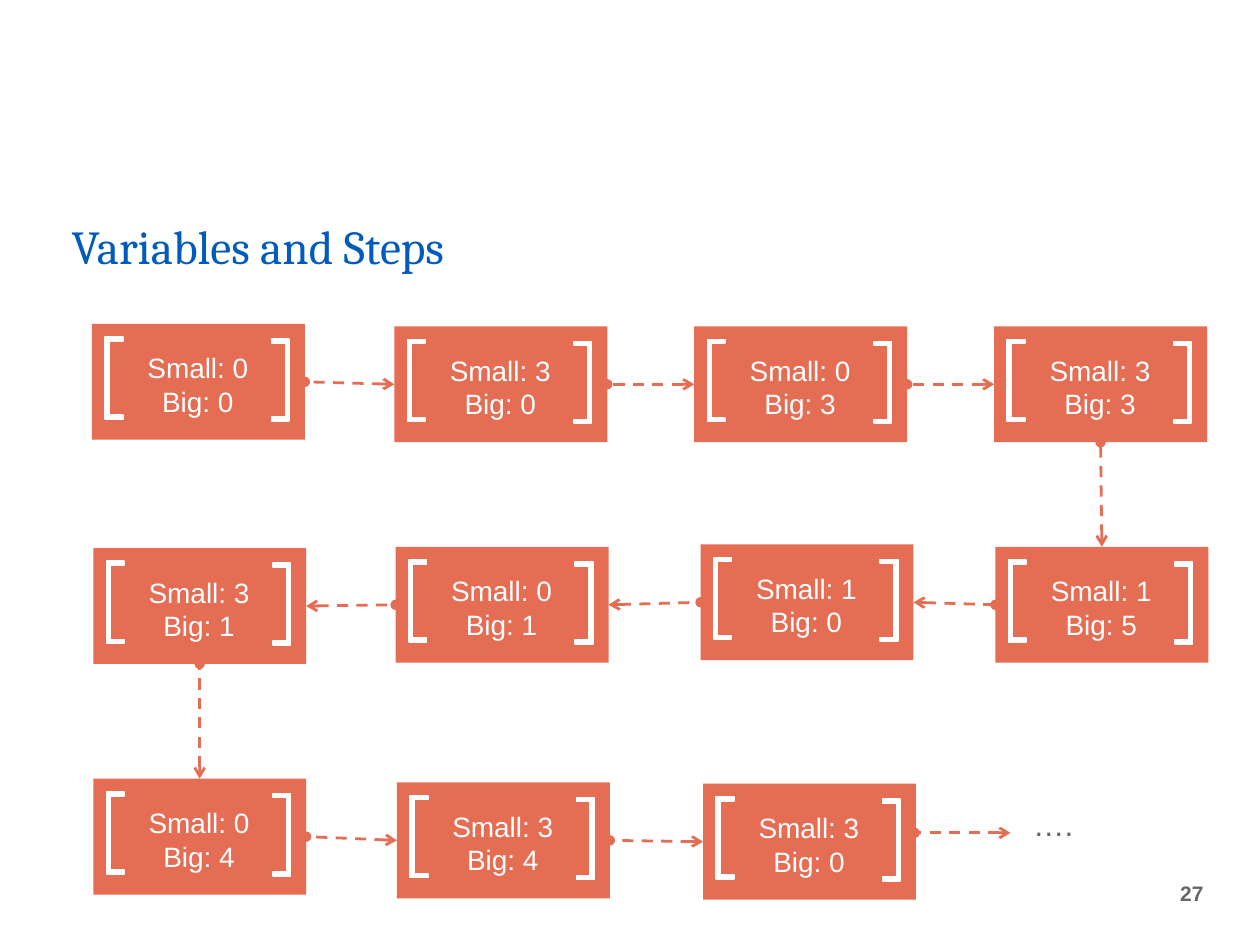
from itertools import pairwise

from lxml.etree import SubElement
from pptx import Presentation
from pptx.dml.color import RGBColor
from pptx.enum.dml import MSO_LINE
from pptx.enum.shapes import MSO_CONNECTOR, MSO_SHAPE
from pptx.enum.text import MSO_ANCHOR, MSO_AUTO_SIZE, PP_ALIGN
from pptx.oxml.ns import qn
from pptx.util import Inches, Pt

COLORS = {"card": "E56D54", "white": "FFFFFF", "title": "005BBB", "grey": "666666"}
COLUMNS, ROWS = 100, 75
SLIDE_WIDTH, SLIDE_HEIGHT = Inches(10), Inches(7.5)
CARD_SIZE = (16.9, 9.2)
TOP, LEFT, BOTTOM, RIGHT = range(4)
BRACKET = [(1.4, 0), (0, 0), (0, 6.5), (1.4, 6.5), (1.4, 6.2), (0.3, 6.2), (0.3, 0.3), (1.4, 0.3)]
STEPS = [
    (7.3, 25.7, 0, 0), (31.3, 25.9, 3, 0), (55.1, 25.9, 0, 3), (78.9, 25.9, 3, 3),
    (79, 43.4, 1, 5), (55.6, 43.2, 1, 0), (31.4, 43.4, 0, 1), (7.4, 43.5, 3, 1),
    (7.4, 61.8, 0, 4), (31.5, 62.1, 3, 4), (55.8, 62.2, 3, 0),
]


def across(columns):
    """Turn grid columns into a slide length."""
    return round(SLIDE_WIDTH * columns / COLUMNS)


def down(rows):
    """Turn grid rows into a slide length."""
    return round(SLIDE_HEIGHT * rows / ROWS)


def color(name):
    """Look up a palette colour."""
    return RGBColor.from_string(COLORS[name])


def place(box):
    """Turn a grid box into left, top, width and height."""
    left, top, width, height = box
    return across(left), down(top), across(width), down(height)


def add_text(page, box, lines, size, ink, font="Arial", align=PP_ALIGN.LEFT,
             anchor=MSO_ANCHOR.TOP, wrap=True, bold=False, spacing=None, grow=False):
    """Write one paragraph per line in the given box."""
    frame = page.shapes.add_textbox(*place(box)).text_frame
    frame.word_wrap = wrap
    frame.vertical_anchor = anchor
    frame.auto_size = MSO_AUTO_SIZE.SHAPE_TO_FIT_TEXT if grow else MSO_AUTO_SIZE.NONE
    frame.text = "\n".join(lines)
    for para in frame.paragraphs:
        para.alignment = align
        para.line_spacing = spacing
        para.font.name = font
        para.font.size = Pt(size)
        para.font.bold = bold
        para.font.color.rgb = color(ink)


def add_bracket(page, left, top, rotation):
    """Draw a square bracket, turned by the given angle."""
    points = [(across(x), down(y)) for x, y in BRACKET]
    builder = page.shapes.build_freeform(*points[0])
    builder.add_line_segments(points[1:])
    bracket = builder.convert_to_shape(across(left), down(top))
    bracket.rotation = rotation
    bracket.shadow.inherit = False
    bracket.fill.solid()
    bracket.fill.fore_color.rgb = color("white")
    bracket.line.color.rgb = color("white")
    bracket.line.width = Pt(1)


def add_card(page, box, small, big):
    """Draw one step with its two values and return its rectangle."""
    left, top, width, height = box
    card = page.shapes.add_shape(MSO_SHAPE.RECTANGLE, *place(box))
    card.shadow.inherit = False
    card.fill.solid()
    card.fill.fore_color.rgb = color("card")
    card.line.fill.background()
    add_bracket(page, left + 1.05, top + 1.05, 0)
    add_bracket(page, left + 14.25, top + 1.2, 180)
    add_text(page, (left + 1.95, top + 1.65, 12.9, 6.4), [f"Small: {small}", f"Big: {big}"],
             16, "white", align=PP_ALIGN.CENTER, grow=True)
    return card


def add_arrow(page, start=(0, 0), end=(0, 0)):
    """Draw a dashed arrow that points at its start."""
    arrow = page.shapes.add_connector(
        MSO_CONNECTOR.STRAIGHT, across(start[0]), down(start[1]), across(end[0]), down(end[1]))
    arrow.line.color.rgb = color("card")
    arrow.line.width = Pt(1.6)
    arrow.line.dash_style = MSO_LINE.DASH
    outline = arrow.line._get_or_add_ln()
    SubElement(outline, qn("a:headEnd"), type="arrow")
    SubElement(outline, qn("a:tailEnd"), type="oval")
    SubElement(arrow._element.spPr, qn("a:effectLst"))
    return arrow


def join_cards(page, source, target):
    """Connect two cards by the sides that face each other."""
    if target.top > source.top + source.height:
        sides = TOP, BOTTOM
    elif target.left > source.left:
        sides = LEFT, RIGHT
    else:
        sides = RIGHT, LEFT
    arrow = add_arrow(page)
    arrow.begin_connect(target, sides[0])
    arrow.end_connect(source, sides[1])


def add_steps(page):
    """Lay out the chain of steps and its open end."""
    cards = [add_card(page, (left, top, *CARD_SIZE), small, big)
             for left, top, small, big in STEPS]
    for source, target in pairwise(cards):
        join_cards(page, source, target)
    add_arrow(page, (80.2, 66.1), (72.6, 66.1))
    add_text(page, (81, 63.4, 5.2, 4), ["…."], 18, "grey", wrap=False, grow=True)


def main():
    """Build the slide and save the deck."""
    deck = Presentation()
    deck.slide_width, deck.slide_height = SLIDE_WIDTH, SLIDE_HEIGHT
    page = deck.slides.add_slide(deck.slide_layouts[6])
    add_text(page, (4.7, 14.4, 86.2, 7.8), ["Variables and Steps"], 27, "title",
             font="Cambria", anchor=MSO_ANCHOR.BOTTOM, spacing=0.8)
    add_steps(page)
    add_text(page, (90.6, 68, 5.9, 5.8), ["27"], 12, "grey", align=PP_ALIGN.RIGHT,
             anchor=MSO_ANCHOR.MIDDLE, bold=True)
    deck.save("out.pptx")


if __name__ == "__main__":
    main()
